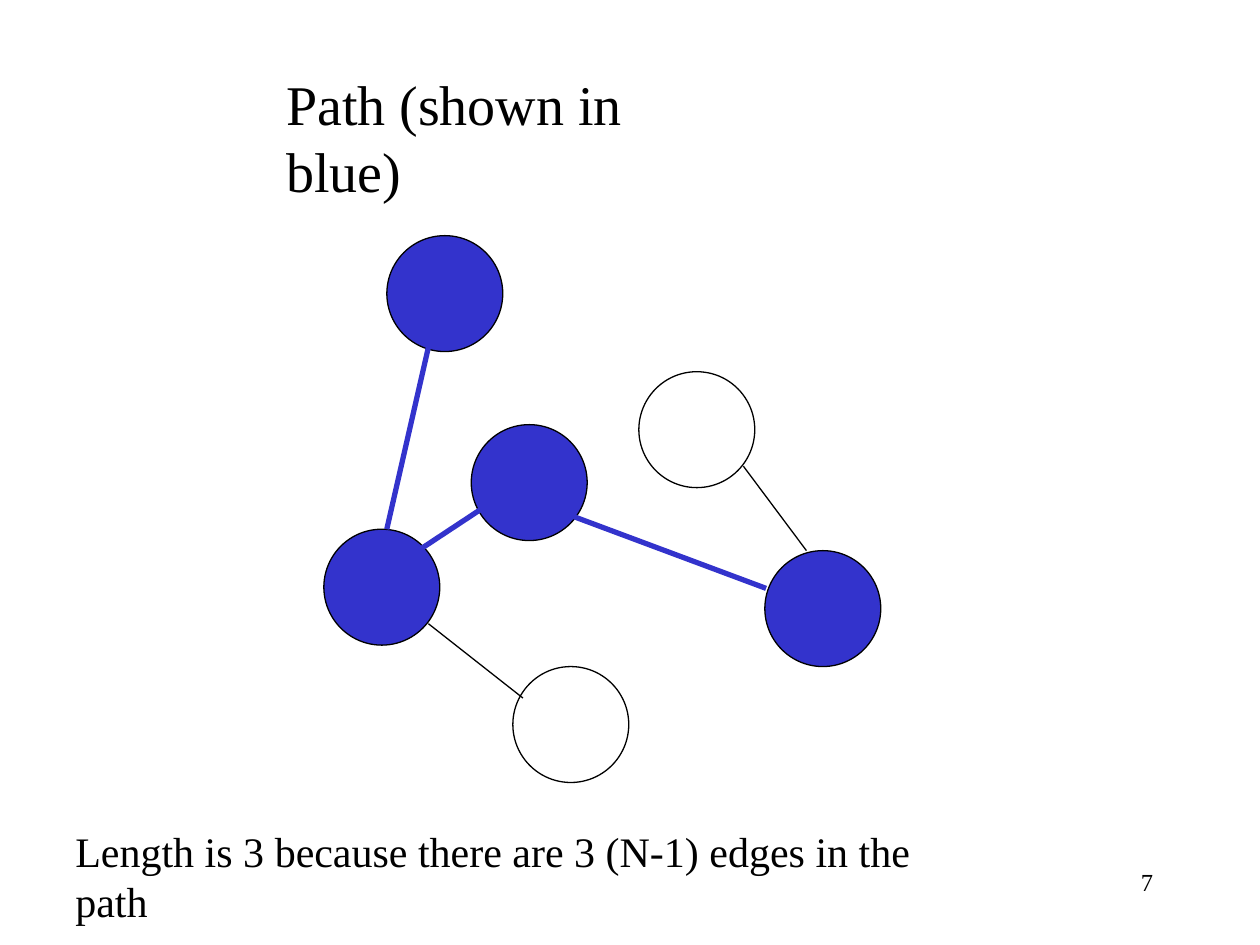
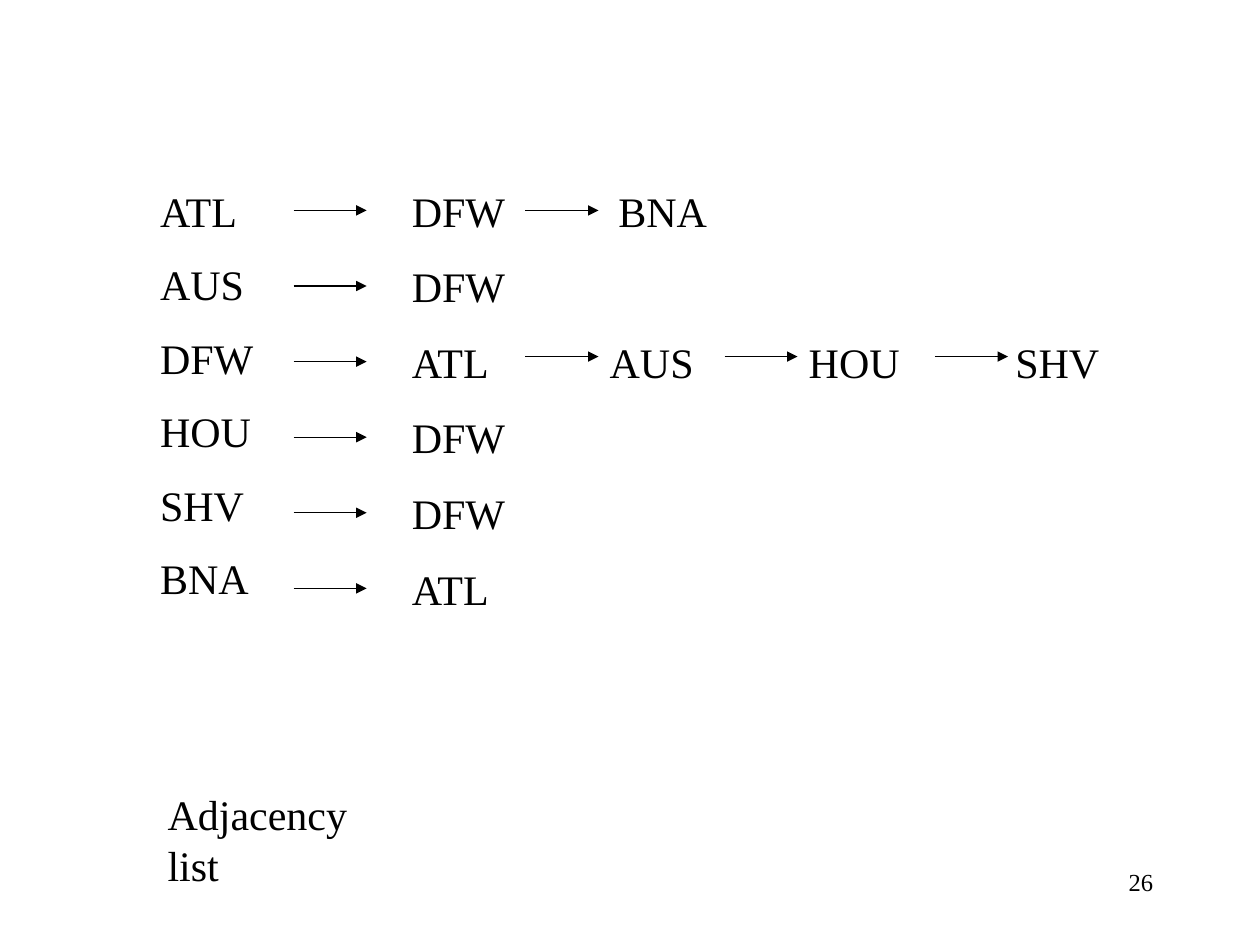
"""Build two slides on graphs: a path shown in blue and an adjacency list."""
from typing import NamedTuple

from lxml import etree
from pptx import Presentation
from pptx import util as u
from pptx.dml.color import RGBColor
from pptx.enum import shapes, text
from pptx.oxml.ns import qn

PX = 9144
FONT = "Times New Roman"
COLORS = {"ink": "000000", "path": "3333CC"}
NODE_SIZE = 92
THIN, THICK = 0.75, 3
ROW_TOP, ROW_STEP = 142, 60
LABEL_HEIGHT = 50


class Node(NamedTuple):
    left: int
    top: int
    on_path: bool


class Edge(NamedTuple):
    x1: int
    y1: int
    x2: int
    y2: int
    on_path: bool


class Hop(NamedTuple):
    label: str
    left: int
    arrow_left: int


class Row(NamedTuple):
    airport: str
    hops: tuple[Hop, ...]
    arrow_drop: int = 25


NODES = (
    Node(374, 337, True),
    Node(407, 529, False),
    Node(507, 295, False),
    Node(307, 187, True),
    Node(607, 437, True),
    Node(257, 420, True),
)
EDGES = (
    Edge(342, 267, 307, 420, True),
    Edge(332, 437, 382, 404, True),
    Edge(415, 554, 340, 495, False),
    Edge(450, 408, 608, 467, True),
    Edge(640, 437, 590, 370, False),
)
ROWS = (
    Row("ATL", (Hop("DFW", 317, 233), Hop("BNA", 481, 417))),
    Row("AUS", (Hop("DFW", 317, 233),)),
    Row("DFW", (Hop("ATL", 317, 233), Hop("AUS", 474, 417),
                Hop("HOU", 632, 575), Hop("SHV", 796, 742)), 21),
    Row("HOU", (Hop("DFW", 317, 233),)),
    Row("SHV", (Hop("DFW", 317, 233),)),
    Row("BNA", (Hop("ATL", 317, 233),)),
)


def rgb(name: str) -> RGBColor:
    """Look up a named colour."""
    return RGBColor.from_string(COLORS[name])


def write(sp, lines, *, size=24, align=text.PP_ALIGN.LEFT, wrap=True, gap=0.0) -> None:
    """Fill a shape with formatted paragraphs."""
    tf = sp.text_frame
    tf.auto_size = text.MSO_AUTO_SIZE.NONE
    tf.word_wrap = wrap
    tf.vertical_anchor = text.MSO_ANCHOR.TOP
    for i, line in enumerate(lines):
        p = tf.add_paragraph() if i else tf.paragraphs[0]
        p.alignment = align
        p.space_before = u.Pt(gap)
        r = p.add_run()
        r.text = line
        r.font.name = FONT
        r.font.size = u.Pt(size)
        r.font.color.rgb = rgb("ink")


def place(sp, left: int, top: int, width: int, height: int) -> None:
    """Move and size a placeholder."""
    sp.left, sp.top, sp.width, sp.height = (v * PX for v in (left, top, width, height))


def add_label(s, label: str, left: int, top: int, width: int,
              height: int = LABEL_HEIGHT, **fmt) -> None:
    """Add a text box."""
    sp = s.shapes.add_textbox(left * PX, top * PX, width * PX, height * PX)
    write(sp, [label], **fmt)


def add_line(s, x1: int, y1: int, x2: int, y2: int, *,
             color: str = "ink", weight: float = THIN, arrow: bool = False) -> None:
    """Add a straight line, with an arrowhead at its end if wanted."""
    sp = s.shapes.add_connector(
        shapes.MSO_CONNECTOR.STRAIGHT, x1 * PX, y1 * PX, x2 * PX, y2 * PX)
    sp.line.color.rgb = rgb(color)
    sp.line.width = u.Pt(weight)
    if arrow:
        etree.SubElement(sp.line._get_or_add_ln(), qn("a:tailEnd"), type="triangle")
    etree.SubElement(sp._element.spPr, qn("a:effectLst"))


def add_node(s, node: Node) -> None:
    """Add a graph node, filled when it lies on the path."""
    sp = s.shapes.add_shape(shapes.MSO_SHAPE.OVAL, node.left * PX, node.top * PX,
                            NODE_SIZE * PX, NODE_SIZE * PX)
    sp.shadow.inherit = False
    if node.on_path:
        sp.fill.solid()
        sp.fill.fore_color.rgb = rgb("path")
    else:
        sp.fill.background()
    sp.line.color.rgb = rgb("ink")
    sp.line.width = u.Pt(THIN)


def add_slide(prs, layout: int, number: int):
    """Add a slide with its number at the bottom right."""
    s = prs.slides.add_slide(prs.slide_layouts[layout])
    add_label(s, str(number), 717, 683, 208, size=14, align=text.PP_ALIGN.RIGHT)
    return s


def add_title(s, title: str, left: int, top: int, width: int, height: int,
              size: int) -> None:
    """Write the slide's title placeholder."""
    place(s.shapes.title, left, top, width, height)
    write(s.shapes.title, [title], size=size, wrap=False)


def build_path(prs) -> None:
    """Build the slide with the path in a graph."""
    s = add_slide(prs, 5, 7)
    add_title(s, "Path (shown in blue)", 217, 50, 389, 63, 32)
    for node in NODES:
        add_node(s, node)
    for edge in EDGES:
        add_line(s, *edge[:4], color="path" if edge.on_path else "ink",
                 weight=THICK if edge.on_path else THIN)
    add_label(s, "Length is 3 because there are 3 (N-1) edges in the path",
              50, 650, 740, 90)


def build_adjacency(prs) -> None:
    """Build the slide with the adjacency list."""
    s = add_slide(prs, 1, 26)
    add_title(s, "Adjacency list", 123, 621, 211, 50, 24)
    body = s.placeholders[1]
    place(body, 117, ROW_TOP, 100, 349)
    write(body, [row.airport for row in ROWS], gap=13.2)
    for p in body.text_frame.paragraphs:
        pPr = p._p.get_or_add_pPr()
        pPr.set("marL", "0")
        pPr.set("indent", "0")
        etree.SubElement(pPr, qn("a:buNone"))
    for i, row in enumerate(ROWS):
        top = ROW_TOP + i * ROW_STEP
        for j, hop in enumerate(row.hops):
            y = top + (row.arrow_drop if j else 25)
            add_line(s, hop.arrow_left, y, hop.arrow_left + 58, y, arrow=True)
            add_label(s, hop.label, hop.left, top, 94, wrap=False)


def main() -> None:
    """Build and save the presentation."""
    prs = Presentation()
    prs.slide_width, prs.slide_height = 1000 * PX, 750 * PX
    build_path(prs)
    build_adjacency(prs)
    prs.save("out.pptx")


if __name__ == "__main__":
    main()
